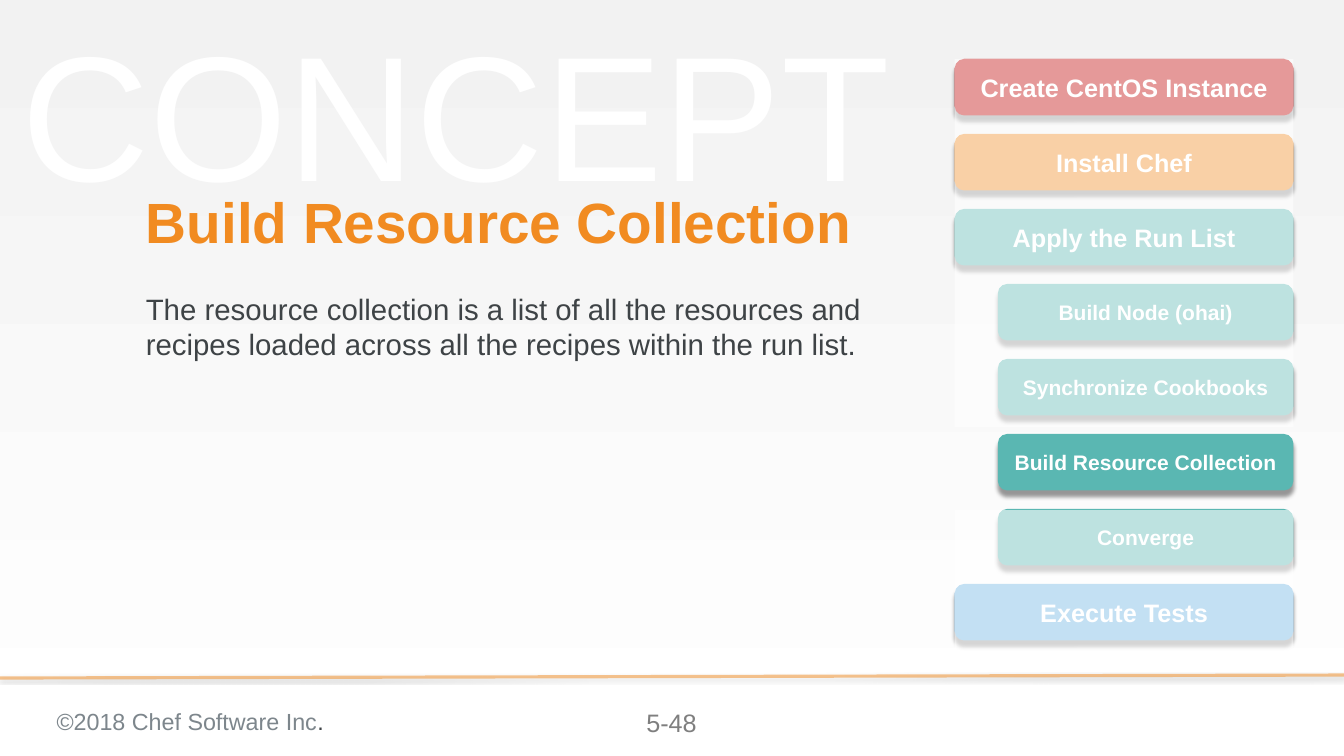
"""Build the concept slide about the resource collection step of the run list."""
from lxml.etree import SubElement
from pptx import Presentation
from pptx.dml.color import RGBColor
from pptx.enum.shapes import MSO_CONNECTOR as Connector, MSO_SHAPE as Shape
from pptx.enum.text import MSO_ANCHOR as Anchor, PP_ALIGN as Align
from pptx.oxml import parse_xml
from pptx.oxml.ns import nsdecls, qn
from pptx.util import Cm, Pt

WIDTH, HEIGHT = 45.16, 25.4
RED, ORANGE, TEAL, BLUE = "C00000", "F18B21", "5AB7B2", "6BB2E2"
WHITE, PALE, DARK, SLATE, GREY = "FFFFFF", "F2F2F2", "3E4346", "7D868C", "7F7F7F"

STEPS = [
    ("Create CentOS Instance", RED, 0),
    ("Install Chef", ORANGE, 0),
    ("Apply the Run List", TEAL, 0),
    ("Build Node (ohai)", TEAL, 1),
    ("Synchronize Cookbooks", TEAL, 1),
    ("Build Resource Collection", TEAL, 1),
    ("Converge", TEAL, 1),
    ("Execute Tests", BLUE, 0),
]
STEP_LEFT, STEP_TOP, STEP_WIDTH, STEP_HEIGHT = 32.08, 1.98, 11.38, 1.9
STEP_PITCH, STEP_INDENT = 2.52, 1.45
VEILS = [(STEP_TOP, 12.37), (17.14, 4.83)]

TEXTS = [
    {"box": (1.65, 23.5, 14.99, 1.32), "size": 22.2,
     "runs": [("©2018 Chef Software Inc", SLATE), (".", DARK)]},
    {"box": (20.57, 23.5, 3.99, 1.45), "size": 24, "runs": [("5-48", GREY)],
     "paragraph": {"alignment": Align.CENTER}},
    {"box": (0.38, 0.41, 32.11, 6.6), "size": 169.3, "runs": [("CONCEPT", PALE)],
     "anchor": Anchor.MIDDLE, "inset": 0.33, "outlined": True},
    {"box": (4.65, 6.38, 26.31, 2.36), "size": 54, "bold": True,
     "runs": [("Build Resource Collection", ORANGE)],
     "anchor": Anchor.MIDDLE, "paragraph": {"line_spacing": 0.9}},
    {"box": (4.65, 9.53, 26.31, 8.86), "size": 28,
     "runs": [("The resource collection is a list of all the resources and recipes "
               "loaded across all the recipes within the run list.", DARK)]},
]


def color(value):
    return RGBColor.from_string(value)


def apply(target, values):
    for name, value in values.items():
        setattr(target, name, value)


def set_alpha(element, percent):
    for node in element.iter(qn("a:srgbClr")):
        SubElement(node, qn("a:alpha"), val=str(percent * 1000))


def add_shadow(shape, alpha, blur, distance):
    shape._element.spPr.append(parse_xml(
        f'<a:effectLst {nsdecls("a")}><a:outerShdw blurRad="{Pt(blur)}" '
        f'dist="{Pt(distance)}" dir="5400000" rotWithShape="0"><a:srgbClr val="000000">'
        f'<a:alpha val="{alpha * 1000}"/></a:srgbClr></a:outerShdw></a:effectLst>'))


def outline_text(run):
    properties = run._r.get_or_add_rPr()
    set_alpha(properties, 50)
    properties.insert(0, parse_xml(
        f'<a:ln {nsdecls("a")} w="{Pt(1.45)}"><a:solidFill>'
        f'<a:srgbClr val="{WHITE}"/></a:solidFill></a:ln>'))


def write(shape, runs, size, bold=False, anchor=Anchor.TOP, insets=(0.25, 0.25),
          paragraph_format=None, outlined=False):
    across, down = (Cm(inset) for inset in insets)
    frame = shape.text_frame
    apply(frame, {"word_wrap": True, "vertical_anchor": anchor,
                  "margin_left": across, "margin_right": across,
                  "margin_top": down, "margin_bottom": down})
    paragraph = frame.paragraphs[0]
    apply(paragraph, paragraph_format or {})
    for text, value in runs:
        run = paragraph.add_run()
        run.text = text
        apply(run.font, {"name": "Arial", "size": Pt(size), "bold": bold})
        run.font.color.rgb = color(value)
        if outlined:
            outline_text(run)


def add_block(slide, kind, box, fill):
    shape = slide.shapes.add_shape(kind, *map(Cm, box))
    shape.fill.solid()
    shape.fill.fore_color.rgb = color(fill)
    shape.line.fill.background()
    return shape


def add_background(slide):
    fill = slide.background.fill
    fill.gradient()
    fill.gradient_angle = 270
    for stop, value, position in zip(fill.gradient_stops, (PALE, WHITE), (0, 1)):
        stop.color.rgb = color(value)
        stop.position = position


def add_footer_line(slide):
    line = slide.shapes.add_connector(
        Connector.STRAIGHT, *map(Cm, (WIDTH, 22.68, 0, 22.78)))
    line.line.color.rgb = color(ORANGE)
    line.line.width = Pt(3)
    set_alpha(line._element.spPr, 50)
    add_shadow(line, 35, 3.1, 1.8)


def add_steps(slide):
    for index, (text, fill, level) in enumerate(STEPS):
        indent = level * STEP_INDENT
        box = (STEP_LEFT + indent, STEP_TOP + index * STEP_PITCH,
               STEP_WIDTH - indent, STEP_HEIGHT)
        step = add_block(slide, Shape.ROUNDED_RECTANGLE, box, fill)
        add_shadow(step, 40, 4, 6)
        write(step, [(text, WHITE)], 20 if level else 24, True, Anchor.MIDDLE,
              (0.25, 0.13), {"alignment": Align.CENTER})
    for top, height in VEILS:
        veil = add_block(slide, Shape.RECTANGLE,
                         (STEP_LEFT, top, STEP_WIDTH, height), WHITE)
        veil.shadow.inherit = False
        set_alpha(veil._element.spPr, 60)


def add_texts(slide):
    for item in TEXTS:
        box = slide.shapes.add_textbox(*map(Cm, item["box"]))
        inset = item.get("inset", 0.25)
        write(box, item["runs"], item["size"], item.get("bold", False),
              item.get("anchor", Anchor.TOP), (inset, inset),
              item.get("paragraph"), item.get("outlined", False))


def main():
    presentation = Presentation()
    apply(presentation, {"slide_width": Cm(WIDTH), "slide_height": Cm(HEIGHT)})
    slide = presentation.slides.add_slide(presentation.slide_layouts[6])
    add_background(slide)
    add_footer_line(slide)
    add_texts(slide)
    add_steps(slide)
    presentation.save("out.pptx")


if __name__ == "__main__":
    main()
